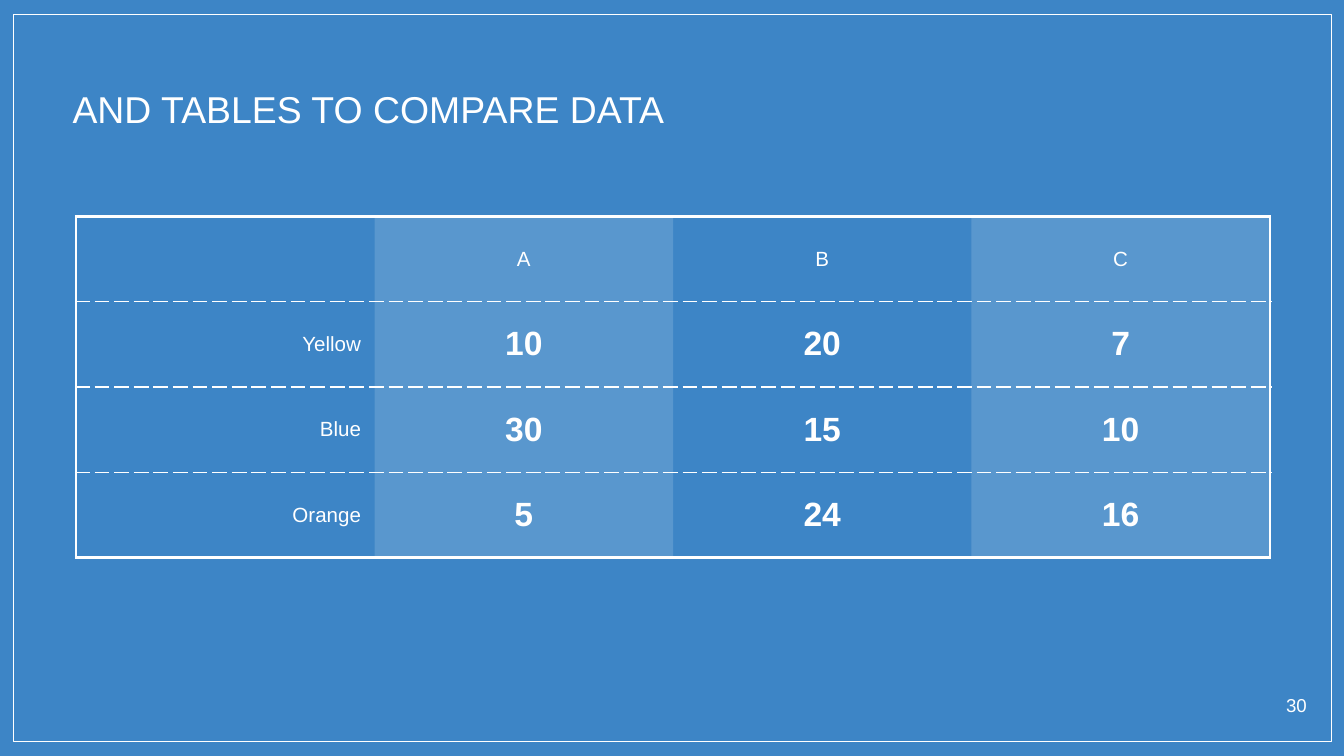
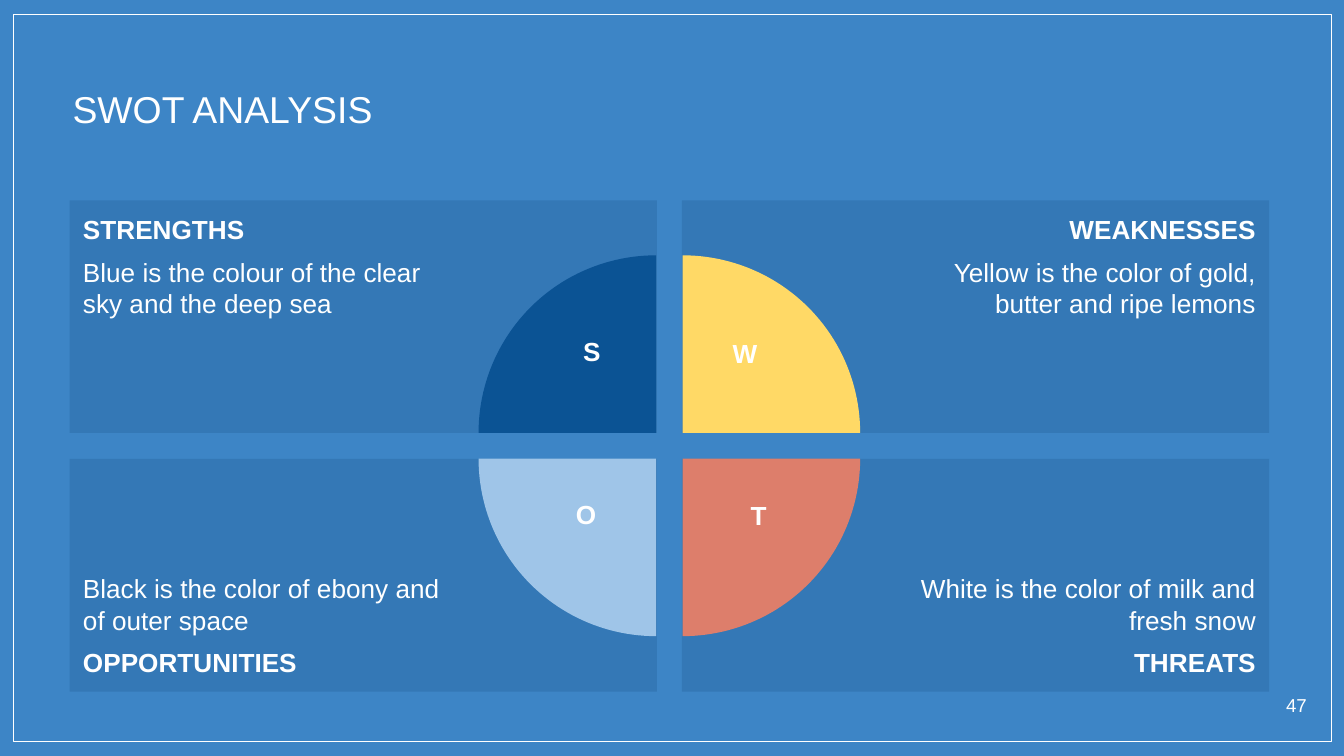
from lxml import etree
from pptx import Presentation
from pptx.dml.color import RGBColor
from pptx.enum import shapes, text
from pptx.oxml import parse_xml
from pptx.oxml.ns import nsdecls, qn
from pptx.util import Pt

COLORS = {
    "background": "3D85C6",
    "white": "FFFFFF",
    "panel": "073763",
    "strengths": "0B5394",
    "weaknesses": "FFD966",
    "threats": "DD7E6B",
    "opportunities": "9FC5E8",
}
FONT = "Arial"
LEFT, CENTER, RIGHT = text.PP_ALIGN.LEFT, text.PP_ALIGN.CENTER, text.PP_ALIGN.RIGHT
TOP, MIDDLE, BOTTOM = text.MSO_ANCHOR.TOP, text.MSO_ANCHOR.MIDDLE, text.MSO_ANCHOR.BOTTOM


def write(holder, lines, size, align=LEFT, anchor=TOP, insets=(7.2, 7.2, 7.2, 7.2)):
    """Fill a shape or cell with (words, bold) lines, spaced 6 pt apart."""
    frame = holder.text_frame
    frame.word_wrap = True
    # Cells and shapes keep their margins and anchor in different places
    box = frame if hasattr(holder, "shape_type") else holder
    box.margin_left, box.margin_top, box.margin_right, box.margin_bottom = map(Pt, insets)
    box.vertical_anchor = anchor
    for index, (words, bold) in enumerate(lines):
        paragraph = frame.add_paragraph() if index else frame.paragraphs[0]
        paragraph.alignment = align
        if index:
            paragraph.space_before = Pt(6)
            paragraph.space_after = Pt(6)
        run = paragraph.add_run()
        run.text = words
        run.font.name = FONT
        run.font.size = Pt(size)
        run.font.bold = bold
        run.font.color.rgb = RGBColor.from_string(COLORS["white"])


def paint(fill, color, opacity=100):
    """Give a solid fill, see-through when opacity is below 100 percent."""
    fill.solid()
    fill.fore_color.rgb = RGBColor.from_string(COLORS[color])
    if opacity < 100:
        srgb = fill._xPr.find(qn("a:solidFill")).find(qn("a:srgbClr"))
        etree.SubElement(srgb, qn("a:alpha")).set("val", str(opacity * 1000))


presentation = Presentation()
presentation.slide_width, presentation.slide_height = Pt(720), Pt(405)

# Shared background, frame, title and page number
slides = []
for title, number in (("AND TABLES TO COMPARE DATA", "30"), ("SWOT ANALYSIS", "47")):
    slide = presentation.slides.add_slide(presentation.slide_layouts[6])
    paint(slide.background.fill, "background")
    frame_box = slide.shapes.add_shape(
        shapes.MSO_SHAPE.RECTANGLE, Pt(7.2), Pt(7.7), Pt(706.2), Pt(389.5))
    frame_box.shadow.inherit = False
    frame_box.fill.background()
    frame_box.line.color.rgb = RGBColor.from_string(COLORS["white"])
    frame_box.line.width = Pt(0.75)
    title_box = slide.shapes.add_textbox(Pt(31.8), Pt(39), Pt(648), Pt(32.4))
    write(title_box, [(title, False)], 20)
    number_box = slide.shapes.add_textbox(Pt(671.2), Pt(365.8), Pt(36), Pt(23))
    write(number_box, [(number, False)], 10, RIGHT)
    slides.append(slide)
table_slide, swot_slide = slides

# Comparison table
rows = [
    ["", "A", "B", "C"],
    ["Yellow", "10", "20", "7"],
    ["Blue", "30", "15", "10"],
    ["Orange", "5", "24", "16"],
]
last = len(rows) - 1
table = table_slide.shapes.add_table(
    4, 4, Pt(40.8), Pt(115.9), Pt(639.6), Pt(182.8)).table
table.first_row = table.horz_banding = False
style = table._tbl.tblPr.find(qn("a:tableStyleId"))
style.text = "{2D5ABB26-0587-4C30-8999-92F81FD0307C}"
for column in table.columns:
    column.width = Pt(159.9)
for row_index, values in enumerate(rows):
    table.rows[row_index].height = Pt(45.7)
    for column_index, value in enumerate(values):
        cell = table.cell(row_index, column_index)
        is_number = row_index > 0 and column_index > 0
        if value:
            write(cell, [(value, is_number)], 18 if is_number else 11,
                  CENTER if column_index else RIGHT, MIDDLE, (7.2, 5, 7.2, 5))
        if column_index % 2:
            paint(cell.fill, "white", 15)
        else:
            cell.fill.background()

        # Solid outer border, dashed lines between rows
        borders = {}
        if column_index == 0:
            borders["lnL"] = (1.5, "solid")
        if column_index == last:
            borders["lnR"] = (1.5, "solid")
        borders["lnT"] = (0.75, "dash") if row_index else (1.5, "solid")
        borders["lnB"] = (0.75, "dash") if row_index < last else (1.5, "solid")
        for position, (side, (width, dash)) in enumerate(borders.items()):
            cell._tc.get_or_add_tcPr().insert(position, parse_xml(
                f'<a:{side} {nsdecls("a")} w="{Pt(width)}"><a:solidFill>'
                f'<a:srgbClr val="{COLORS["white"]}"/></a:solidFill>'
                f'<a:prstDash val="{dash}"/></a:{side}>'))

# SWOT panels: column, row, heading, description
panels = [
    (0, 0, "STRENGTHS", "Blue is the colour of the clear sky and the deep sea"),
    (1, 0, "WEAKNESSES", "Yellow is the color of gold, butter and ripe lemons"),
    (0, 1, "OPPORTUNITIES", "Black is the color of ebony and of outer space"),
    (1, 1, "THREATS", "White is the color of milk and fresh snow"),
]
for column, row, heading, description in panels:
    panel = swot_slide.shapes.add_shape(
        shapes.MSO_SHAPE.RECTANGLE, Pt(37.4 + 327.9 * column), Pt(107.3 + 138.5 * row),
        Pt(314.6), Pt(124.7))
    panel.shadow.inherit = False
    paint(panel.fill, "panel", 16)
    panel.line.fill.background()
    lines = [(heading, True), (description, False)]
    write(panel, lines[::-1] if row else lines, 14,
          RIGHT if column else LEFT, BOTTOM if row else TOP,
          (108, 7.2, 7.2, 7.2) if column else (7.2, 7.2, 108, 7.2))

# Quarter circles, clockwise from the upper left
quarters = [("strengths", 0, 0), ("weaknesses", 1, 0), ("threats", 1, 1), ("opportunities", 0, 1)]
for turn, (color, column, row) in enumerate(quarters):
    quarter = swot_slide.shapes.add_shape(
        shapes.MSO_SHAPE.PIE, Pt(256.4 + 14.2 * column), Pt(136.8 + 13.8 * row),
        Pt(190.2), Pt(190.2))
    quarter.adjustments[0], quarter.adjustments[1] = 108, 162
    quarter.rotation = 90 * turn
    quarter.shadow.inherit = False
    paint(quarter.fill, color)
    quarter.line.fill.background()

# Letters on the quarters
letters = [("S", 303.8, 176.4, 26.6), ("W", 384.4, 177.1, 29.5),
           ("O", 301, 263.5, 25.9), ("T", 393.1, 264.2, 26.6)]
for letter, left, top, width in letters:
    letter_box = swot_slide.shapes.add_textbox(Pt(left), Pt(top), Pt(width), Pt(33))
    write(letter_box, [(letter, True)], 14, CENTER, TOP, (0, 3.6, 0, 3.6))

presentation.save("out.pptx")
